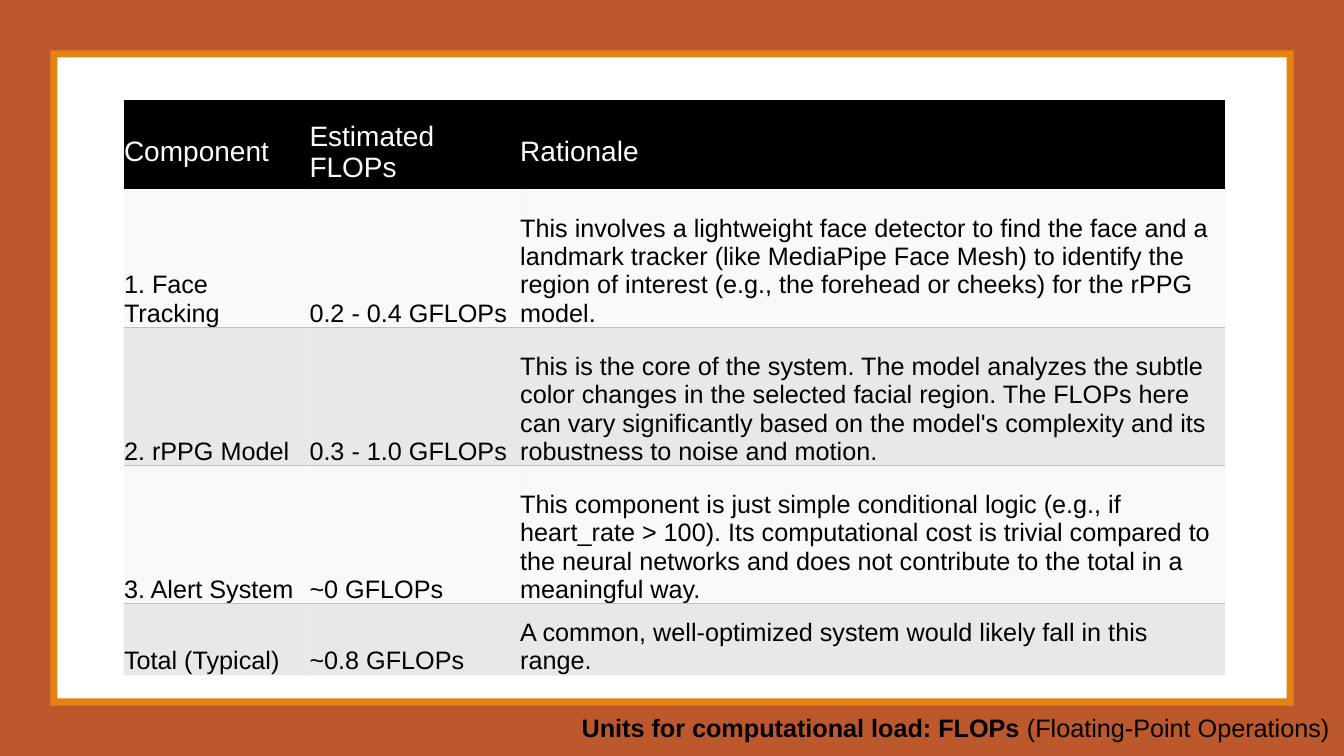
from lxml.etree import SubElement
from pptx import Presentation
from pptx.dml.color import RGBColor
from pptx.enum.shapes import MSO_SHAPE
from pptx.enum.text import MSO_ANCHOR, MSO_AUTO_SIZE
from pptx.oxml import parse_xml
from pptx.oxml.ns import nsdecls, qn
from pptx.util import Inches, Pt

THEME = {
    "font": "Arial",
    "rust": "BD582C",
    "orange": "E48312",
    "white": "FFFFFF",
    "black": "000000",
    "light_band": ("F2F2F2", 45),
    "dark_band": ("BFBFBF", 35),
    "rule": "BFBFBF",
    "header_size": 20,
    "body_size": 18,
}
NO_STYLE_NO_GRID = "{2D5ABB26-0587-4C30-8999-92F81FD0307C}"

ROWS = [
    ("Component", "Estimated FLOPs", "Rationale"),
    ("1. Face Tracking", "0.2 - 0.4 GFLOPs",
     "This involves a lightweight face detector to find the face and a landmark tracker "
     "(like MediaPipe Face Mesh) to identify the region of interest (e.g., the forehead "
     "or cheeks) for the rPPG model."),
    ("2. rPPG Model", "0.3 - 1.0 GFLOPs",
     "This is the core of the system. The model analyzes the subtle color changes in the "
     "selected facial region. The FLOPs here can vary significantly based on the model's "
     "complexity and its robustness to noise and motion."),
    ("3. Alert System", "~0 GFLOPs",
     "This component is just simple conditional logic (e.g., if heart_rate > 100). Its "
     "computational cost is trivial compared to the neural networks and does not "
     "contribute to the total in a meaningful way."),
    ("Total (Typical)", "~0.8 GFLOPs",
     "A common, well-optimized system would likely fall in this range."),
]
COLUMN_WIDTHS = [1.84, 2.09, 6.99]
ROW_HEIGHTS = [0.89, 1.37, 1.37, 1.37, 0.71]


def format_run(run, size, color, bold=False):
    run.font.name = THEME["font"]
    run.font.size = Pt(size)
    run.font.bold = bold
    run.font.color.rgb = RGBColor.from_string(color)


def add_rule(cell, edge):
    line = parse_xml(
        f'<a:{edge} {nsdecls("a")} w="12700"><a:solidFill>'
        f'<a:srgbClr val="{THEME["rule"]}"/></a:solidFill></a:{edge}>'
    )
    cell._tc.get_or_add_tcPr().insert(0, line)


presentation = Presentation()
presentation.slide_width = Inches(13.33)
presentation.slide_height = Inches(7.5)
slide = presentation.slides.add_slide(presentation.slide_layouts[6])

for margin, color in [(0, "rust"), (0.5, "orange"), (0.57, "white")]:
    panel = slide.shapes.add_shape(
        MSO_SHAPE.RECTANGLE, Inches(margin), Inches(margin),
        Inches(13.33 - 2 * margin), Inches(7.5 - 2 * margin))
    panel.shadow.inherit = False
    panel.fill.solid()
    panel.fill.fore_color.rgb = RGBColor.from_string(THEME[color])
    panel.line.fill.background()

table_frame = slide.shapes.add_table(
    len(ROWS), len(COLUMN_WIDTHS), Inches(1.23), Inches(0.99),
    Inches(sum(COLUMN_WIDTHS)), Inches(sum(ROW_HEIGHTS)))
table = table_frame.table
table.horz_banding = False
table._tbl.tblPr.find(qn("a:tableStyleId")).text = NO_STYLE_NO_GRID
for column, width in zip(table.columns, COLUMN_WIDTHS):
    column.width = Inches(width)

for row_index, (texts, height) in enumerate(zip(ROWS, ROW_HEIGHTS)):
    table.rows[row_index].height = Inches(height)
    is_header = row_index == 0
    is_dark = row_index % 2 == 0
    for cell, text in zip(table.rows[row_index].cells, texts):
        cell.text_frame.text = text
        cell.margin_left = cell.margin_right = cell.margin_bottom = 0
        cell.margin_top = Inches(0.15)
        cell.vertical_anchor = MSO_ANCHOR.MIDDLE if is_header else MSO_ANCHOR.BOTTOM
        run = cell.text_frame.paragraphs[0].runs[0]
        cell.fill.solid()
        if is_header:
            cell.fill.fore_color.rgb = RGBColor.from_string(THEME["black"])
            format_run(run, THEME["header_size"], THEME["white"])
        else:
            color, opacity = THEME["dark_band" if is_dark else "light_band"]
            cell.fill.fore_color.rgb = RGBColor.from_string(color)
            fill_color = cell._tc.tcPr.find(qn("a:solidFill")).find(qn("a:srgbClr"))
            SubElement(fill_color, qn("a:alpha"), val=str(opacity * 1000))
            format_run(run, THEME["body_size"], THEME["black"])
            add_rule(cell, "lnT") if is_dark else add_rule(cell, "lnB")

units_box = slide.shapes.add_textbox(Inches(5.67), Inches(7.02), Inches(9.39), Inches(0.4))
units_box.text_frame.word_wrap = True
units_box.text_frame.auto_size = MSO_AUTO_SIZE.SHAPE_TO_FIT_TEXT
paragraph = units_box.text_frame.paragraphs[0]
for text, bold in [("Units for computational load: FLOPs", True),
                   (" (Floating-Point Operations)", False)]:
    run = paragraph.add_run()
    run.text = text
    format_run(run, THEME["body_size"], THEME["black"], bold)

presentation.save("out.pptx")
